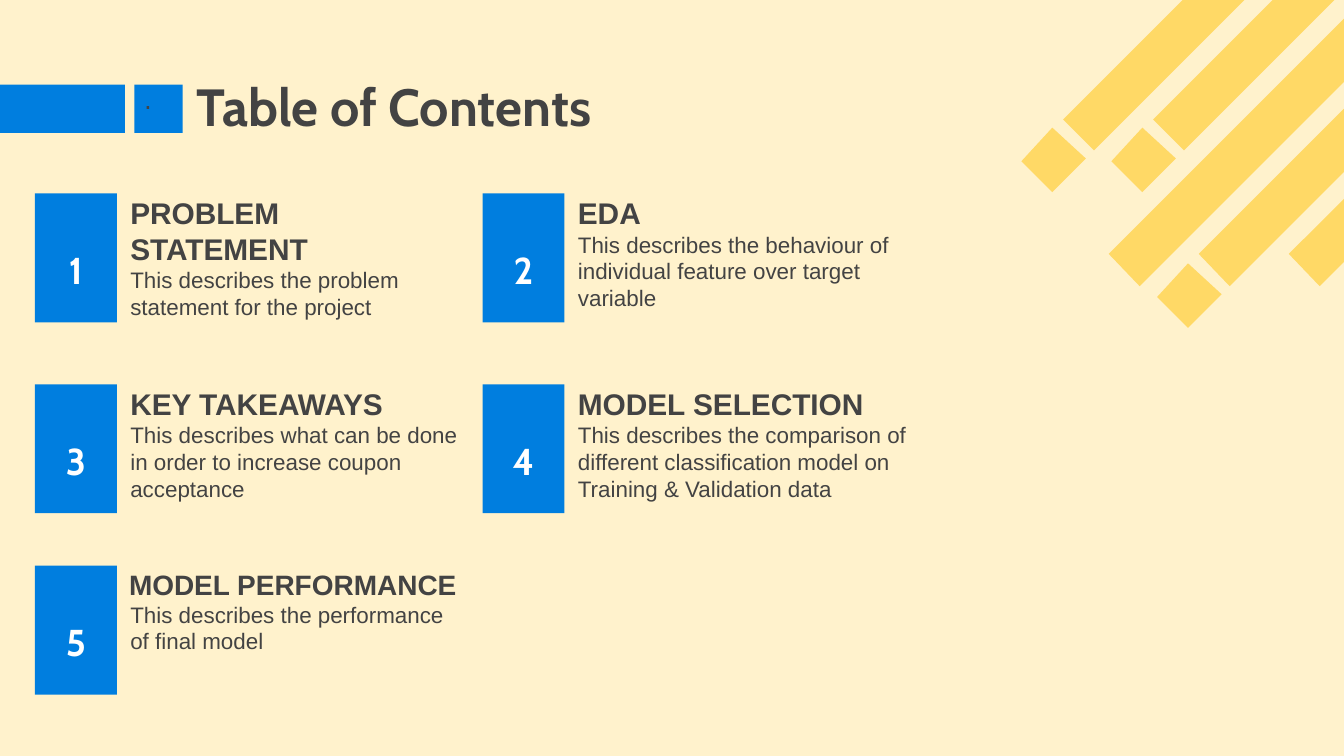
from pptx import Presentation
from pptx.dml.color import RGBColor
from pptx.enum.shapes import MSO_SHAPE
from pptx.enum.text import MSO_ANCHOR, PP_ALIGN
from pptx.util import Inches, Pt

RECT = MSO_SHAPE.RECTANGLE
MIDDLE = MSO_ANCHOR.MIDDLE
CENTER = PP_ALIGN.CENTER
CREAM = RGBColor(0xFF, 0xF2, 0xCC)
GOLD = RGBColor(0xFF, 0xD9, 0x66)
BLUE = RGBColor(0x00, 0x7E, 0xDF)
GRAY = RGBColor(0x43, 0x43, 0x43)
WHITE = RGBColor(0xFF, 0xFF, 0xFF)

WIDE = 10
HIGH = WIDE * 9 / 16
LEFT, STEP = 0.26, 3.33        # first column and column pitch
ROWS = (1.44, 2.86, 4.21)      # row tops
TILE_W, TILE_H = 0.61, 0.96
TEXT_X, TEXT_W = 0.7, 2.49     # text offset from its tile, and width
INDENT = Inches(0.01)

# Heading, its size and indent, note, text height
ITEMS = (
    ("PROBLEM STATEMENT", 16, INDENT,
     "This describes the problem statement for the project", 0.96),
    ("EDA", 16, INDENT,
     "This describes the behaviour of individual feature over target variable", 0.89),
    ("KEY TAKEAWAYS", 16, INDENT,
     "This describes what can be done in order to increase coupon acceptance", 0.89),
    ("MODEL SELECTION", 16, INDENT,
     "This describes the comparison of different classification model on "
     "Training & Validation data", 0.89),
    ("MODEL PERFORMANCE", 15, 0,
     "This describes the performance of final model", 0.67),
)

deck = Presentation()
deck.slide_width, deck.slide_height = Inches(WIDE), Inches(HIGH)
slide = deck.slides.add_slide(deck.slide_layouts[6])
slide.background.fill.solid()
slide.background.fill.fore_color.rgb = CREAM
shapes = slide.shapes


def block(x, y, w, h, color=None):
    """Add a plain rectangle, or a text box when no color is given."""
    box = tuple(Inches(n) for n in (x, y, w, h))
    if color is None:
        shape = shapes.add_textbox(*box)
    else:
        shape = shapes.add_shape(RECT, *box)
        shape.shadow.inherit = False
        shape.fill.solid()
        shape.fill.fore_color.rgb = color
        shape.line.fill.background()
    frame = shape.text_frame
    frame.word_wrap = True
    frame.margin_left = frame.margin_right = frame.margin_bottom = 0
    frame.margin_top = Inches(0.01)
    return frame


def write(para, text, size, font, color=GRAY, bold=True, indent=0):
    if indent:
        para._p.get_or_add_pPr().set("marL", str(indent))
    run = para.add_run()
    run.text = text
    run.font.size, run.font.name, run.font.bold = Pt(size), font, bold
    run.font.color.rgb = color


# Slanted stripes, in hundredths of an inch: each starts at its left corner
# and runs up at 45 degrees to the top or the right edge of the slide.
EDGE = WIDE * 100
lines = [
    [(x, y), (x + 23, y - 25), (x + 48, y - 2), (x + 23, y + 23)]
    for x, y in ((760, 120), (827, 120), (861, 221))
]
for x in (791, 858):
    lines.append([(x, 89), (x + 89, 0), (x + 135, 0), (x + 23, 112)])
for x in (825, 892, 959):
    rise = 189 - (EDGE - x)
    lines.append([(x, 189), (EDGE, rise), (EDGE, rise + 47), (x + 23, 213)])

pen = shapes.build_freeform(*lines[0][0], scale=Inches(0.01))
for num, line in enumerate(lines):
    if num:
        pen.move_to(*line[0])
    pen.add_line_segments(line[1:], close=True)
stripes = pen.convert_to_shape()
stripes.shadow.inherit = False
stripes.fill.solid()
stripes.fill.fore_color.rgb = GOLD
stripes.line.fill.background()

# Title with its bars and dot
block(0, 0.63, 0.93, 0.36, BLUE)
block(1, 0.63, 0.36, 0.36, BLUE)
block(1.09, 0.79, 0.02, 0.02, GRAY)
title = block(1.45, 0.54, 7.1, 0.48)
write(title.paragraphs[0], "Table of Contents", 28, "Cabin", indent=INDENT)

# Numbered entries, two to a row
for num, (head, size, indent, note, tall) in enumerate(ITEMS):
    row, col = divmod(num, 2)
    x, y = LEFT + col * STEP, ROWS[row]

    body = block(x + TEXT_X, y, TEXT_W, tall)
    write(body.paragraphs[0], head, size, "Arial", indent=indent)
    write(body.add_paragraph(), note, 12, "Arial", bold=False, indent=INDENT)

    tile = block(x, y, TILE_W, TILE_H, BLUE)
    tile.margin_top = Inches(0.17)
    tile.vertical_anchor = MIDDLE
    tile.paragraphs[0].alignment = CENTER
    write(tile.paragraphs[0], str(num + 1), 20, "Cabin", WHITE)

deck.save("out.pptx")
